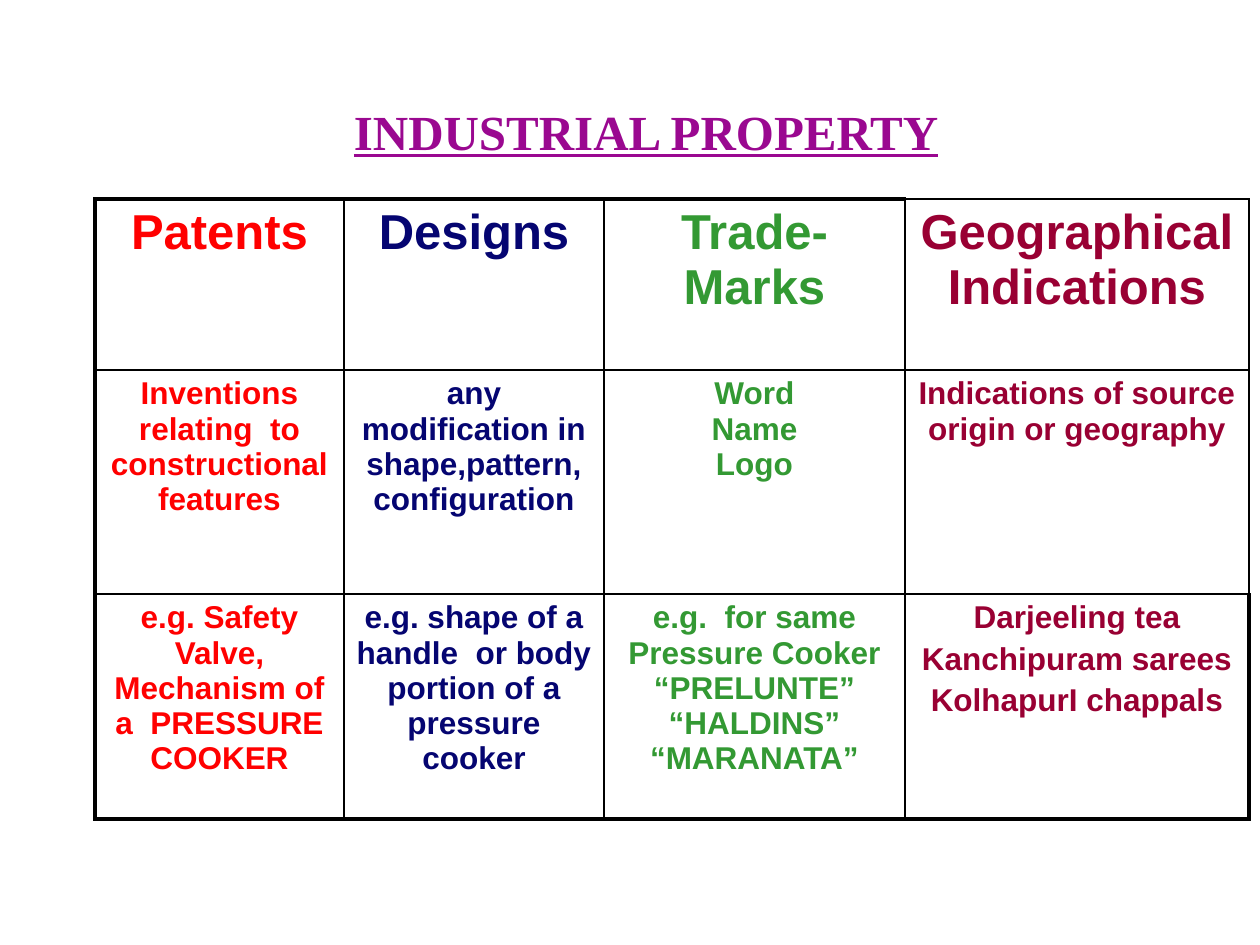
"""Build the Industrial Property slide: a title above a four-column table."""
from lxml import etree
from pptx import Presentation
from pptx import util as u
from pptx.dml.color import RGBColor
from pptx.enum import text
from pptx.oxml.ns import qn

PX = 914400 // 126
BLACK = RGBColor(0x00, 0x00, 0x00)
PURPLE = RGBColor(0x9A, 0x08, 0x90)
RED = RGBColor(0xFF, 0x00, 0x00)
NAVY = RGBColor(0x05, 0x05, 0x71)
GREEN = RGBColor(0x33, 0x99, 0x33)
MAROON = RGBColor(0x99, 0x00, 0x33)

COLUMN_COLORS = [RED, NAVY, GREEN, MAROON]
COLUMN_WIDTHS = [249, 260, 301, 344]
ROW_HEIGHTS = [171, 224, 225]
SPACED_CELLS = [(0, 0), (0, 1), (0, 2), (0, 3), (1, 3), (2, 3)]
THIN, THICK = 1, 2.25
ROWS = [
    [["Patents"], ["Designs"], ["Trade- Marks"], ["Geographical Indications"]],
    [
        ["Inventions relating  to constructional", "features"],
        ["any modification in shape,pattern,", "configuration"],
        ["Word", "Name", "Logo"],
        ["Indications of source origin or geography"],
    ],
    [
        ["e.g. Safety Valve,", "Mechanism of a  PRESSURE COOKER"],
        ["e.g. shape of a", "handle  or body portion of a pressure cooker"],
        ["e.g.  for same", "Pressure Cooker", "“PRELUNTE”", "“HALDINS”", "“MARANATA”"],
        ["Darjeeling tea", "Kanchipuram sarees", "KolhapurI chappals"],
    ],
]


def px(length):
    return u.Emu(length * PX)


def write_text(frame, lines, *, size, color, font="Arial", underline=False, before=0):
    for index, line in enumerate(lines):
        para = frame.paragraphs[0] if index == 0 else frame.add_paragraph()
        para.alignment = text.PP_ALIGN.CENTER
        para.space_before = u.Pt(size * before)
        span = para.add_run()
        span.text = line
        span.font.name = font
        span.font.size = u.Pt(size)
        span.font.bold = True
        span.font.underline = underline
        span.font.color.rgb = color


def add_title(page):
    title = page.shapes.title
    title.left, title.top, title.width, title.height = map(px, (252, 95, 788, 147))
    frame = title.text_frame
    frame.word_wrap = True
    frame.auto_size = text.MSO_AUTO_SIZE.NONE
    frame.vertical_anchor = text.MSO_ANCHOR.TOP
    write_text(frame, ["INDUSTRIAL PROPERTY"], size=28, color=PURPLE,
               font="Times New Roman", underline=True)


def set_borders(cell, widths):
    properties = cell._tc.get_or_add_tcPr()
    for side, width in widths.items():
        line = etree.SubElement(properties, qn(f"a:ln{side}"), w=str(u.Pt(width)))
        fill = etree.SubElement(line, qn("a:solidFill"))
        etree.SubElement(fill, qn("a:srgbClr"), val=str(BLACK))


def border_widths(row, column):
    last_row, last_column = len(ROWS) - 1, len(COLUMN_WIDTHS) - 1
    return {
        "L": THICK if column == 0 else THIN,
        "R": THICK if (row, column) == (last_row, last_column) else THIN,
        "T": THICK if row == 0 and column < last_column else THIN,
        "B": THICK if row == last_row else THIN,
    }


def add_property_table(page):
    frame = page.shapes.add_table(
        len(ROWS), len(COLUMN_WIDTHS), px(95), px(199),
        px(sum(COLUMN_WIDTHS)), px(sum(ROW_HEIGHTS)))
    table = frame.table
    table.first_row = table.horz_banding = False
    for column, width in zip(table.columns, COLUMN_WIDTHS):
        column.width = px(width)
    for row, height in zip(table.rows, ROW_HEIGHTS):
        row.height = px(height)
    for r, row in enumerate(ROWS):
        for c, lines in enumerate(row):
            cell = table.cell(r, c)
            set_borders(cell, border_widths(r, c))
            cell.fill.background()
            write_text(cell.text_frame, lines, size=28 if r == 0 else 18,
                       color=COLUMN_COLORS[c],
                       before=0.2 if (r, c) in SPACED_CELLS else 0)


def main():
    deck = Presentation()
    deck.slide_width, deck.slide_height = px(1260), px(945)
    page = deck.slides.add_slide(deck.slide_layouts[5])
    add_title(page)
    add_property_table(page)
    deck.save("out.pptx")


if __name__ == "__main__":
    main()
